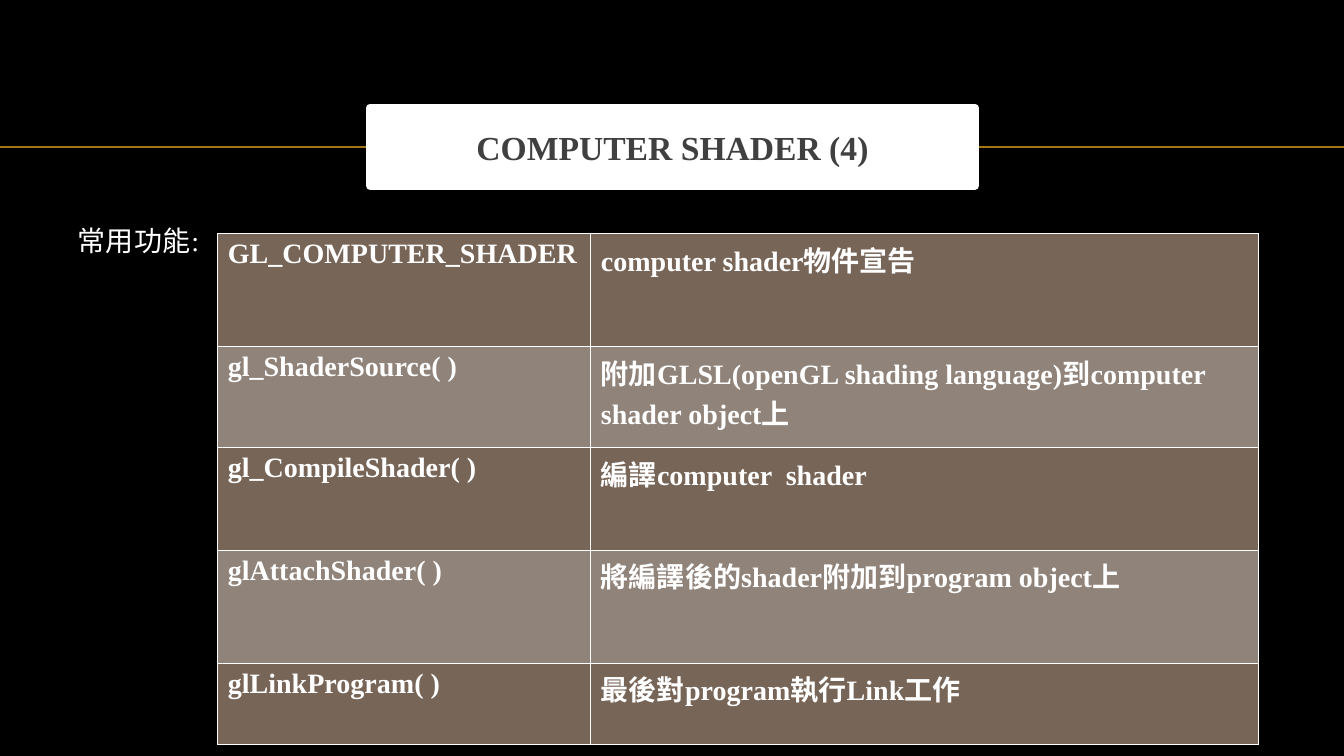
from dataclasses import dataclass

from lxml.etree import SubElement
from pptx import Presentation
from pptx.dml.color import RGBColor
from pptx.enum.shapes import MSO_CONNECTOR
from pptx.enum.text import MSO_ANCHOR, PP_ALIGN
from pptx.oxml.ns import qn
from pptx.util import Inches, Pt


@dataclass(frozen=True)
class Theme:
    font: str = "Times New Roman"
    title_size: int = 24
    text_size: int = 20
    background: str = "000000"
    white: str = "FFFFFF"
    title_text: str = "404040"
    rule: str = "A57617"
    row_fills: tuple = ("776558", "90837A")


theme = Theme()


def add_span(para, text, size, color, bold=False):
    span = para.add_run()
    span.text = text
    span.font.name = theme.font
    span.font.size = Pt(size)
    span.font.bold = bold
    span.font.color.rgb = RGBColor.from_string(color)
    span._r.get_or_add_rPr().set("lang", "zh-TW")
    return span


def add_borders(cell, color):
    properties = cell._tc.get_or_add_tcPr()
    for side in ("a:lnL", "a:lnR", "a:lnT", "a:lnB"):
        border = SubElement(properties, qn(side), w=str(Pt(1)))
        fill = SubElement(border, qn("a:solidFill"))
        SubElement(fill, qn("a:srgbClr"), val=color)


# Deck and page
deck = Presentation()
deck.slide_width, deck.slide_height = Inches(13.33), Inches(7.5)
page = deck.slides.add_slide(deck.slide_layouts[5])
page.background.fill.solid()
page.background.fill.fore_color.rgb = RGBColor.from_string(theme.background)

# Rule behind the title
rule = page.shapes.add_connector(
    MSO_CONNECTOR.STRAIGHT, Inches(0), Inches(1.46), Inches(13.33), Inches(1.46))
rule.line.color.rgb = RGBColor.from_string(theme.rule)
rule.line.width = Pt(1)
SubElement(rule._element.spPr, qn("a:effectLst"))
page.shapes._spTree.insert(2, rule._element)

# Title
title = page.shapes.title
title.left, title.top = Inches(3.67), Inches(1.07)
title.width, title.height = Inches(6), Inches(0.77)
title.fill.solid()
title.fill.fore_color.rgb = RGBColor.from_string(theme.white)
title.line.color.rgb = RGBColor.from_string(theme.white)
title.line.width = Pt(6)
title.text_frame.vertical_anchor = MSO_ANCHOR.MIDDLE
para = title.text_frame.paragraphs[0]
para.alignment = PP_ALIGN.CENTER
add_span(para, "COMPUTER SHADER (4)", theme.title_size, theme.title_text, bold=True)

# Label beside the table
label = page.shapes.add_textbox(Inches(0.67), Inches(2.21), Inches(1.5), Inches(0.5))
label.text_frame.word_wrap = True
para = label.text_frame.paragraphs[0]
para.line_spacing = 0.9
span = add_span(para, "常用功能:", theme.text_size, theme.white)
span._r.get_or_add_rPr().set("spc", "30")

# Table of functions: row height, name, purpose
functions = [
    (1.12, "GL_COMPUTER_SHADER", "computer shader物件宣告"),
    (1.0, "gl_ShaderSource( )",
     "附加GLSL(openGL shading language)到computer shader object上"),
    (1.02, "gl_CompileShader( )", "編譯computer  shader"),
    (1.12, "glAttachShader( )", "將編譯後的shader附加到program object上"),
    (0.81, "glLinkProgram( )", "最後對program執行Link工作"),
]
column_widths = (3.7, 6.62)
table = page.shapes.add_table(
    len(functions), len(column_widths), Inches(2.16), Inches(2.32),
    Inches(sum(column_widths)), Inches(sum(row[0] for row in functions))).table
table.first_row = False
table.horz_banding = False
for column, width in zip(table.columns, column_widths):
    column.width = Inches(width)
for index, (height, *texts) in enumerate(functions):
    table.rows[index].height = Inches(height)
    for cell, text in zip(table.rows[index].cells, texts):
        add_borders(cell, theme.white)
        cell.fill.solid()
        cell.fill.fore_color.rgb = RGBColor.from_string(theme.row_fills[index % 2])
        add_span(cell.text_frame.paragraphs[0], text,
                 theme.text_size, theme.white, bold=True)

deck.save("out.pptx")
